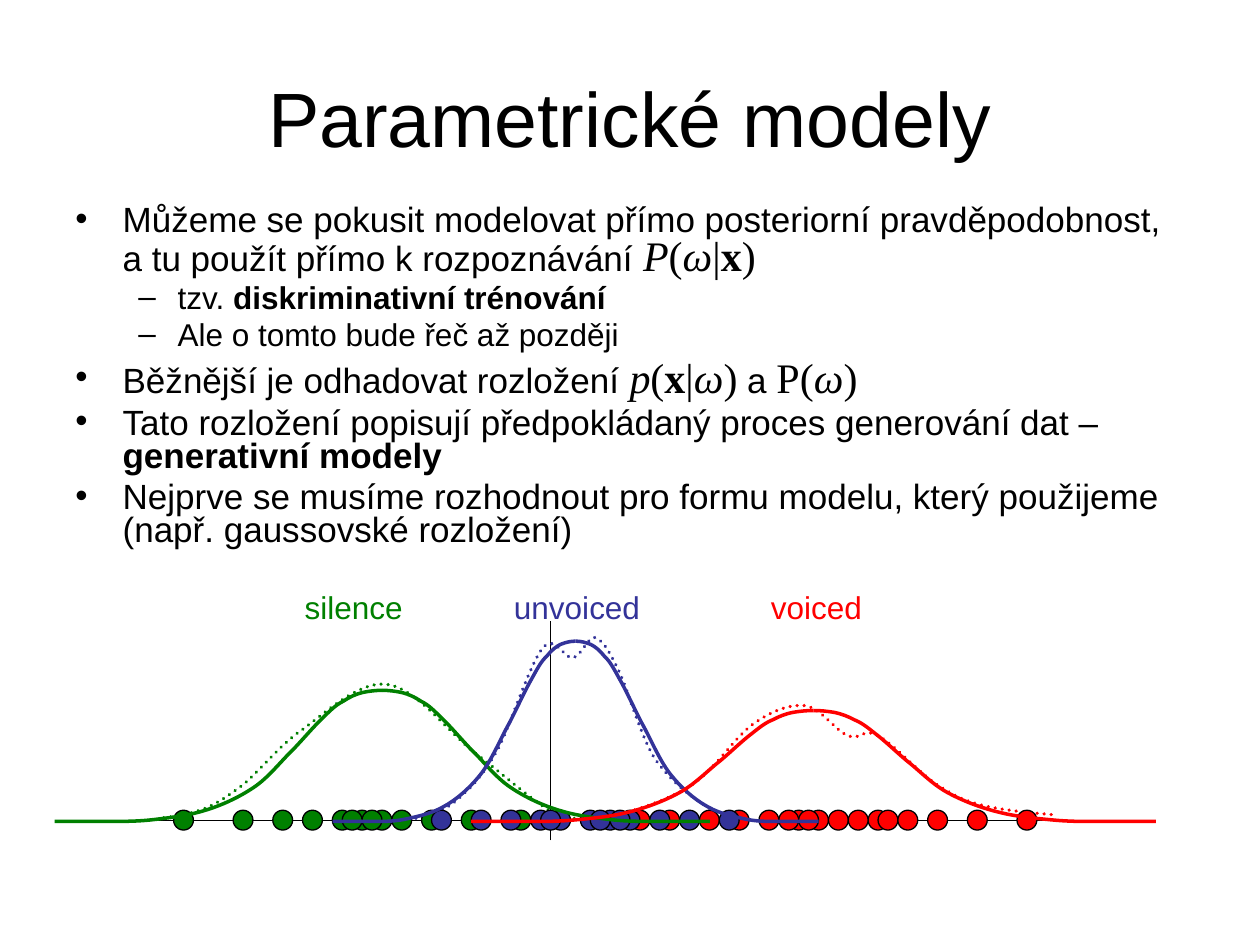
from lxml import etree
from pptx import Presentation
from pptx.dml.color import RGBColor
from pptx.enum.dml import MSO_LINE
from pptx.enum.shapes import MSO_CONNECTOR, MSO_SHAPE
from pptx.enum.text import MSO_ANCHOR, PP_ALIGN
from pptx.oxml.ns import qn
from pptx.util import Pt

STRAIGHT = MSO_CONNECTOR.STRAIGHT
DOT = MSO_SHAPE.FLOWCHART_CONNECTOR
DOTTED = MSO_LINE.ROUND_DOT
MIDDLE, TOP = MSO_ANCHOR.MIDDLE, MSO_ANCHOR.TOP
CENTER = PP_ALIGN.CENTER

COLORS = {"ink": "000000", "silence": "008000", "unvoiced": "333399", "voiced": "FF0000"}
SANS, SERIF = "Arial", "Times New Roman"

TITLE = "Parametrické modely"

BODY = [
    (0, 0, [("Můžeme se pokusit modelovat přímo posteriorní pravděpodobnost, "
             "a tu použít přímo k rozpoznávání ", ""),
            ("P", "mi"), ("(", "m"), ("ω", "mi"), ("|", "m"), ("x", "mb"), (")", "m")]),
    (1, 3.6, [("tzv. ", ""), ("diskriminativní trénování", "b")]),
    (1, 3.6, [("Ale o tomto bude řeč až později", "")]),
    (0, 4.8, [("Běžnější je odhadovat rozložení ", ""),
              ("p", "mi"), ("(", "m"), ("x", "mb"), ("|", "m"), ("ω", "mi"), (")", "m"),
              (" a ", ""), ("P(", "m"), ("ω", "mi"), (")", "m")]),
    (0, 4, [("Tato rozložení popisují předpokládaný proces generování dat – ", ""),
            ("generativní modely", "b")]),
    (0, 4, [("Nejprve se musíme rozhodnout pro formu modelu, který použijeme "
             "(např. gaussovské rozložení)", "")]),
]
LEVELS = [("•", 27, -27, 20), ("–", 58.5, -22.5, 18)]

LABELS = [("unvoiced", 286.6, 102.2), ("voiced", 433.4, 73.4), ("silence", 167, 79.2)]
AXES = [(54, 468.7, 649.4, 468.7), (314.6, 480.2, 314.6, 355)]

DENSITY = {
    "unvoiced": [
        (229.7, 466.6),
        (233.3, 467.3), (236.9, 468.7), (241.9, 466.6),
        (247.7, 465.1), (256.3, 462.2), (263.5, 455),
        (270.7, 448.6), (277.2, 441.4), (285.1, 427),
        (292.3, 412.6), (303.1, 378.7), (310.3, 370.1),
        (317.5, 362.2), (322.6, 377.3), (327.6, 375.8),
        (331.9, 375.1), (336.2, 363.6), (339.8, 364.3),
        (344.2, 365.8), (347, 370.1), (352.8, 381.6),
        (358.6, 393.1), (365.8, 419.8), (373.7, 432.7),
        (382.3, 445.7), (395.3, 455.8), (403.9, 460.8),
        (412.6, 466.6), (419, 466.6), (424.8, 466.6)],
    "voiced": [
        (335.5, 465.8),
        (339.1, 467.3), (342.7, 468.7), (352.8, 465.8),
        (362.9, 463), (382.3, 457.2), (395.3, 448.6),
        (408.2, 439.9), (419, 422.6), (429.1, 414.7),
        (439.9, 406.8), (450, 402.5), (459.4, 403.2),
        (468.7, 403.9), (477.4, 417.6), (484.6, 420.5),
        (491.8, 423.4), (493.2, 415.4), (501.8, 420.5),
        (510.5, 424.8), (525.6, 442.1), (535.7, 448.6),
        (545.8, 455), (550.1, 457.2), (560.9, 460.1),
        (572.4, 463), (588.2, 464.4), (604.1, 465.8)],
    "silence": [
        (93.6, 467.3),
        (100.8, 466.6), (108.7, 465.1), (116.6, 462.2),
        (123.8, 459.4), (130.3, 455), (139.7, 447.8),
        (148.3, 440.6), (157, 429.1), (169.9, 419),
        (183.6, 409.7), (203.8, 389.5), (220.3, 391),
        (236.9, 392.4), (254.9, 416.9), (270, 429.1),
        (285.1, 440.6), (302.4, 455.8), (312.5, 462.2),
        (322.6, 468.7), (326.9, 468), (331.2, 467.3)],
}

SAMPLES = {
    "voiced": [46, 49, 53, 56, 62, 61, 64, 59, 66, 70, 71, 73, 76, 80, 85, 68, 63],
    "silence": [18, 20, 34, 29, 25, 22, 16, 13, 10, 6, 0, 19, 17],
    "unvoiced": [36, 38, 41, 43, 45, 48, 51, 55, 33, 30, 26, 37, 42, 44],
}
DOT_X, DOT_Y, DOT_GAP, DOT_SIZE = 99.2, 463, 5.67, 11.34

BELLS = [("silence", 218.4, 187.2, 74.9), ("unvoiced", 328.9, 138.8, 103),
         ("voiced", 464.9, 195.7, 63.4)]
BASE = 469.4
HALF = [
    (0, 0), (4.6, 0), (9.2, 0), (12.3, 0), (15.4, 0), (15.4, 0), (18.5, 0),
    (21.2, 0), (25.8, 0), (30.4, 1.4), (35, 2.8), (40.4, 4.2), (45.4, 8),
    (50.8, 11.9), (56.2, 18.2), (60.8, 25.9), (65.4, 33.6), (69.2, 46.2), (72.7, 54.5),
    (76.2, 63.6), (79.2, 72.7), (81.9, 79), (84.2, 84.6), (85.8, 88.8), (88.1, 91.6),
    (90, 94.8), (91.9, 97), (93.8, 98.2), (96.2, 99.5), (98.1, 100), (100, 100)]


def tint(name):
    return RGBColor.from_string(COLORS[name])


def style(run, size, name="ink", font=SANS):
    run.font.size, run.font.name = Pt(size), font
    run.font.color.rgb = tint(name)


def add_box(shapes, x, y, w, h, anchor=TOP):
    frame = shapes.add_textbox(Pt(x), Pt(y), Pt(w), Pt(h)).text_frame
    frame.word_wrap, frame.vertical_anchor = True, anchor
    return frame


def add_body(shapes):
    frame = add_box(shapes, 36, 113.8, 648, 234)
    for n, (level, gap, runs) in enumerate(BODY):
        para = frame.add_paragraph() if n else frame.paragraphs[0]
        mark, left, hang, size = LEVELS[level]
        props = para._p.get_or_add_pPr()
        props.set("marL", str(Pt(left)))
        props.set("indent", str(Pt(hang)))
        etree.SubElement(props, qn("a:buFont")).set("typeface", SANS)
        etree.SubElement(props, qn("a:buChar")).set("char", mark)
        para.level, para.line_spacing, para.space_before = level, 0.8, Pt(gap)
        for text, kind in runs:
            run = para.add_run()
            run.text = text
            math = "m" in kind
            style(run, 24 if math else size, font=SERIF if math else SANS)
            run.font.bold, run.font.italic = "b" in kind, "i" in kind


def add_curve(shapes, nodes, name, dash=None):
    first, *rest = [(Pt(x), Pt(y)) for x, y in nodes]
    pen = shapes.build_freeform(*first)
    pen.add_line_segments(rest, close=False)
    curve = pen.convert_to_shape()
    legs = list(curve._element.iter(qn("a:lnTo")))
    for n in range(0, len(legs), 3):
        bend = etree.Element(qn("a:cubicBezTo"))
        legs[n].addprevious(bend)
        for leg in legs[n:n + 3]:
            bend.append(leg[0])
            leg.getparent().remove(leg)
    curve.shadow.inherit = False
    curve.fill.background()
    curve.line.color.rgb, curve.line.width = tint(name), Pt(2)
    if dash:
        curve.line.dash_style = dash
        curve._element.spPr.find(qn("a:ln")).set("cap", "rnd")


def add_plot(shapes):
    for ends in AXES:
        axis = shapes.add_connector(STRAIGHT, *map(Pt, ends))
        axis.line.color.rgb, axis.line.width = tint("ink"), Pt(0.75)
        etree.SubElement(axis._element.spPr, qn("a:effectLst"))
    for name, nodes in DENSITY.items():
        add_curve(shapes, nodes, name, DOTTED)
    for name, x, w in LABELS:
        frame = add_box(shapes, x, 332.6, w, 28.8)
        frame.text = name
        style(frame.paragraphs[0].runs[0], 18, name)
    for name, slots in SAMPLES.items():
        for slot in slots:
            dot = shapes.add_shape(DOT, Pt(DOT_X + slot * DOT_GAP), Pt(DOT_Y),
                                   Pt(DOT_SIZE), Pt(DOT_SIZE))
            dot.shadow.inherit = False
            dot.fill.solid()
            dot.fill.fore_color.rgb = tint(name)
            dot.line.color.rgb, dot.line.width = tint("ink"), Pt(0.75)
    for name, mid, w, h in BELLS:
        for side in (-1, 1):
            add_curve(shapes, [(mid + side * w * (1 - u / 100), BASE - h * v / 100)
                               for u, v in HALF], name)


def main():
    deck = Presentation()
    deck.slide_width, deck.slide_height = Pt(720), Pt(540)
    slide = deck.slides.add_slide(deck.slide_layouts[6])
    frame = add_box(slide.shapes, 36, 21.6, 648, 90, MIDDLE)
    frame.text = TITLE
    frame.paragraphs[0].alignment = CENTER
    style(frame.paragraphs[0].runs[0], 44)
    add_plot(slide.shapes.add_group_shape().shapes)
    add_body(slide.shapes)
    deck.save("out.pptx")


if __name__ == "__main__":
    main()
